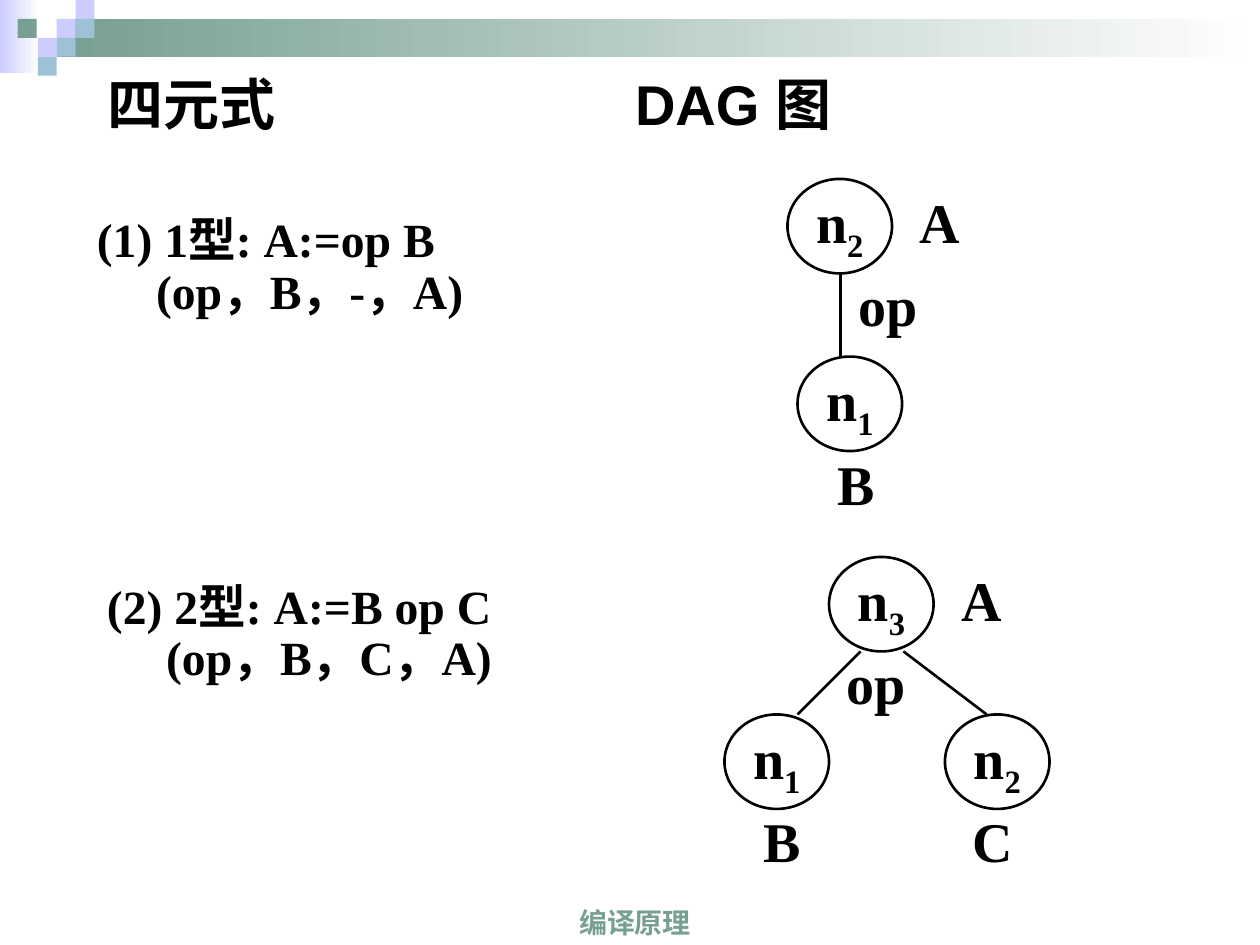
from pptx import Presentation
from pptx import util as u
from pptx.dml.color import RGBColor
from pptx.enum import shapes, text
from pptx.oxml import ns
from lxml import etree

BLACK = RGBColor(0x00, 0x00, 0x00)
WHITE = RGBColor(0xFF, 0xFF, 0xFF)
LILAC = RGBColor(0xCC, 0xCC, 0xFF)
GREEN = RGBColor(0x77, 0x9F, 0x92)
BLUE = RGBColor(0x9D, 0xC2, 0xD7)
SERIF, SANS, CJK = "Times New Roman", "Arial", "Noto Sans CJK SC"


def add_span(para, words, size, name=SERIF, color=BLACK, base=None):
    span = para.add_run()
    span.text = words
    for key, value in {"name": name, "size": u.Pt(size), "bold": True}.items():
        setattr(span.font, key, value)
    span.font.color.rgb = color
    properties = span.font._element
    etree.SubElement(properties, ns.qn("a:ea"), typeface=CJK)
    if base:
        properties.set("baseline", str(base))


def center_label(shape, words, subscript=""):
    frame = shape.text_frame
    frame.word_wrap = False
    frame.vertical_anchor = text.MSO_ANCHOR.MIDDLE
    para = frame.paragraphs[0]
    para.alignment = text.PP_ALIGN.CENTER
    add_span(para, words, 32)
    if subscript:
        add_span(para, subscript, 32, base=-25000)


deck = Presentation()
deck.slide_width, deck.slide_height = u.Inches(10), u.Inches(7.5)
page = deck.slides.add_slide(deck.slide_layouts[5])

bands = [(0, 0, 0.31, 0.58, LILAC), (0.45, 0.15, 9.55, 0.3, GREEN)]
squares = [
    (0.45, 0.15, LILAC), (0.6, 0, LILAC), (0.6, 0.15, BLUE), (0.3, 0.3, LILAC),
    (0.14, 0.15, GREEN), (0.45, 0.3, BLUE), (0.3, 0.45, BLUE),
]
tiles = bands + [(left, top, 0.15, 0.15, color) for left, top, color in squares]
for *place, color in tiles:
    tile = page.shapes.add_shape(
        shapes.MSO_SHAPE.RECTANGLE, *[u.Inches(length) for length in place])
    tile.shadow.inherit = False
    tile.line.fill.background()
    if place[2] > 0.15:
        tile.fill.gradient()
        tile.fill.gradient_angle = 0
        for stop, position, shade in zip(tile.fill.gradient_stops, (0, 1), (color, WHITE)):
            stop.position = position
            stop.color.rgb = shade
    else:
        tile.fill.solid()
        tile.fill.fore_color.rgb = color

footer = page.shapes.add_textbox(u.Inches(3.27), u.Inches(7), u.Inches(3.54), u.Inches(0.5))
footer.text_frame.word_wrap = True
footer.text_frame.vertical_anchor = text.MSO_ANCHOR.BOTTOM
para = footer.text_frame.paragraphs[0]
para.alignment = text.PP_ALIGN.CENTER
add_span(para, "编译原理", 16, SANS, GREEN)

title = page.shapes.title
for key, value in {"left": 0.75, "top": 0.5, "width": 8.33, "height": 0.75}.items():
    setattr(title, key, u.Inches(value))
title.text_frame.vertical_anchor = text.MSO_ANCHOR.TOP
title.text_frame.auto_size = text.MSO_AUTO_SIZE.NONE
para = title.text_frame.paragraphs[0]
para.alignment = text.PP_ALIGN.LEFT
tabs = etree.SubElement(para._p.get_or_add_pPr(), ns.qn("a:tabLst"))
etree.SubElement(tabs, ns.qn("a:tab"), pos=str(u.Inches(4.19)), algn="l")
add_span(para, "四元式\t", 32, CJK)
add_span(para, "DAG ", 32, SANS)
add_span(para, "图", 32, CJK)

forms = [
    (0.67, 1.67, "(1) 1型: A:=op B", "(op，B，-，A)"),
    (0.75, 4.58, "(2) 2型: A:=B op C", "(op，B，C，A)"),
]
for left, top, rule, quadruple in forms:
    box = page.shapes.add_textbox(u.Inches(left), u.Inches(top), u.Inches(3.92), u.Inches(1.42))
    frame = box.text_frame
    frame.word_wrap = True
    for para, words in ((frame.paragraphs[0], rule), (frame.add_paragraph(), quadruple)):
        para.line_spacing = 0.9
        add_span(para, words, 27.2)
    para._p.get_or_add_pPr().set("marL", str(u.Inches(0.47)))

edges = [
    (6.67, 2.17, 6.67, 2.83),
    (6.83, 5.17, 6.33, 5.67), (7.17, 5.17, 7.83, 5.67),
]
for ends in edges:
    edge = page.shapes.add_connector(
        shapes.MSO_CONNECTOR.STRAIGHT, *[u.Inches(end) for end in ends])
    edge.line.color.rgb = BLACK
    edge.line.width = u.Pt(1.5)
    etree.SubElement(edge._element.spPr, ns.qn("a:effectLst"))

nodes = [
    (6.25, 1.42, "2"), (6.33, 2.83, "1"),
    (6.58, 4.42, "3"), (5.75, 5.67, "1"), (7.5, 5.67, "2"),
]
for left, top, number in nodes:
    node = page.shapes.add_shape(
        shapes.MSO_SHAPE.OVAL, u.Inches(left), u.Inches(top), u.Inches(0.83), u.Inches(0.75))
    node.shadow.inherit = False
    node.fill.background()
    node.line.color.rgb = BLACK
    node.line.width = u.Pt(1.5)
    center_label(node, "n", number)

labels = [
    (7.08, 1.42, "A"), (6.67, 2.08, "op"), (6.42, 3.5, "B"),
    (7.42, 4.42, "A"), (6.58, 5.08, "op"), (5.83, 6.33, "B"), (7.5, 6.33, "C"),
]
for left, top, words in labels:
    label = page.shapes.add_textbox(
        u.Inches(left), u.Inches(top), u.Inches(0.75), u.Inches(0.67))
    center_label(label, words)

deck.save("out.pptx")
